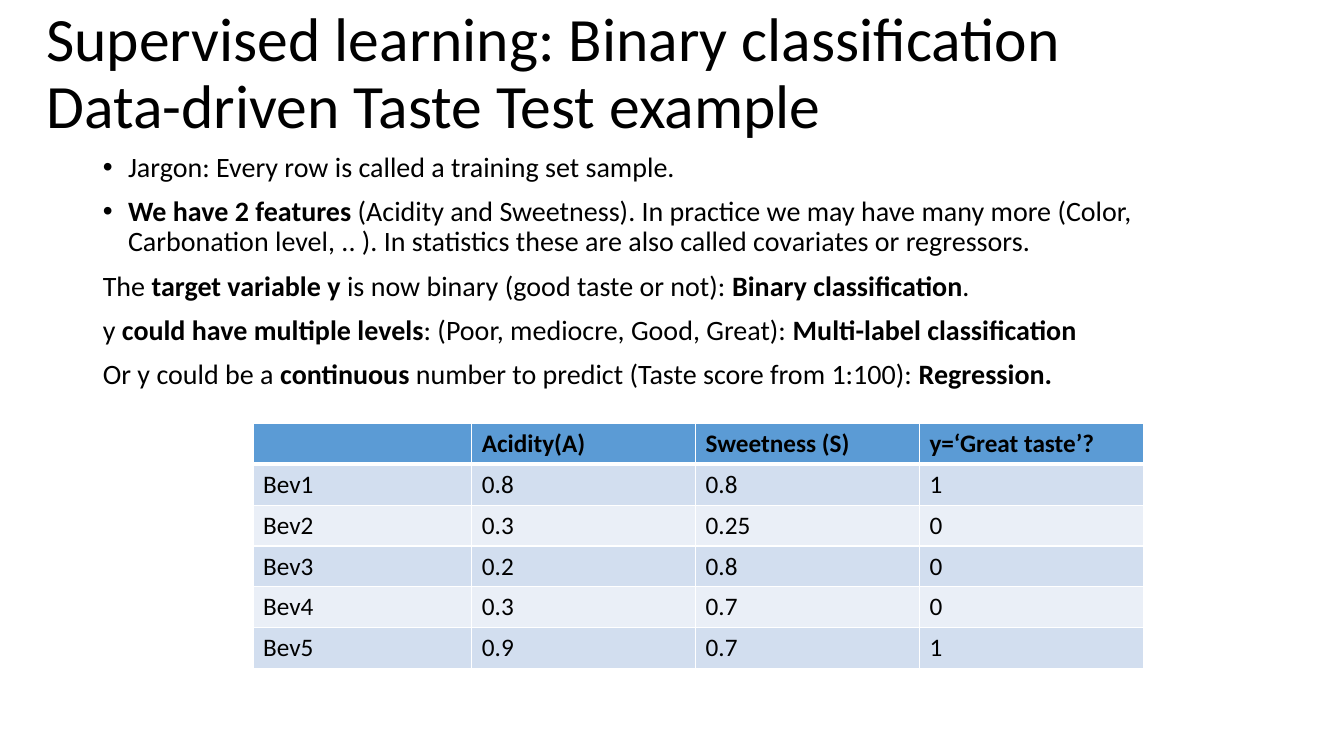
from lxml import etree
from pptx import Presentation
from pptx.dml.color import RGBColor
from pptx.enum.text import MSO_ANCHOR, MSO_AUTO_SIZE, PP_ALIGN
from pptx.oxml.ns import qn
from pptx.util import Pt

PX = 9144
FONT = "Calibri"
BLACK = RGBColor(0x00, 0x00, 0x00)
HEADER_BLUE = RGBColor(0x5B, 0x9B, 0xD5)
BAND_DARK = RGBColor(0xD2, 0xDE, 0xEF)
BAND_LIGHT = RGBColor(0xEA, 0xEF, 0xF7)
WHITE = RGBColor(0xFF, 0xFF, 0xFF)
LEFT = PP_ALIGN.LEFT
TOP = MSO_ANCHOR.TOP
MIDDLE = MSO_ANCHOR.MIDDLE
NO_AUTOFIT = MSO_AUTO_SIZE.NONE


def write(paragraph, text, size, bold=False, line_spacing=None, space_before=0):
    paragraph.alignment = LEFT
    paragraph.space_before = Pt(space_before)
    if line_spacing:
        paragraph.line_spacing = line_spacing
    for line_index, line in enumerate(text.split("\n")):
        if line_index:
            paragraph.add_line_break()
        for part_index, part in enumerate(line.split("**")):
            if part:
                run = paragraph.add_run()
                run.text = part
                run.font.name = FONT
                run.font.size = Pt(size)
                run.font.bold = bold or part_index % 2 == 1
                run.font.color.rgb = BLACK


def add_border(cell, side, width):
    properties = cell._tc.get_or_add_tcPr()
    line = etree.SubElement(properties, qn(f"a:ln{side}"), w=str(Pt(width)))
    fill = etree.SubElement(line, qn("a:solidFill"))
    etree.SubElement(fill, qn("a:srgbClr"), val=str(WHITE))


presentation = Presentation()
presentation.slide_width = 1333 * PX
presentation.slide_height = 750 * PX
slide = presentation.slides.add_slide(presentation.slide_layouts[1])

title, body = slide.placeholders
for shape, box, anchor in (
    (title, (36, 2, 1150, 145), MIDDLE),
    (body, (92, 147, 1150, 476), TOP),
):
    shape.left, shape.top, shape.width, shape.height = (length * PX for length in box)
    shape.text_frame.word_wrap = True
    shape.text_frame.auto_size = NO_AUTOFIT
    shape.text_frame.vertical_anchor = anchor

write(
    title.text_frame.paragraphs[0],
    "Supervised learning: Binary classification\nData-driven Taste Test example",
    size=44,
    line_spacing=0.9,
)

points = [
    (True, "Jargon: Every row is called a training set sample."),
    (True, "**We have 2 features** (Acidity and Sweetness). In practice we may have many more "
           "(Color, Carbonation level, .. ). In statistics these are also called covariates or regressors."),
    (False, "The **target variable y **is now binary (good taste or not): **Binary classification**."),
    (False, "y **could have multiple levels**: (Poor, mediocre, Good, Great): **Multi-label classification**"),
    (False, "Or y could be a **continuous** number to predict (Taste score from 1:100): **Regression.**"),
]
for index, (bulleted, text) in enumerate(points):
    paragraph = body.text_frame.add_paragraph() if index else body.text_frame.paragraphs[0]
    indent = 25 * PX if bulleted else 0
    properties = paragraph._p.get_or_add_pPr()
    properties.set("marL", str(indent))
    properties.set("indent", str(-indent))
    if bulleted:
        etree.SubElement(properties, qn("a:buChar"), char="•")
    else:
        etree.SubElement(properties, qn("a:buNone"))
    write(paragraph, text, size=20, line_spacing=0.9, space_before=10 if index else 0)

beverages = [
    ("", "Acidity(A)", "Sweetness (S)", "y=‘Great taste’?"),
    ("Bev1", "0.8", "0.8", "1"),
    ("Bev2", "0.3", "0.25", "0"),
    ("Bev3", "0.2", "0.8", "0"),
    ("Bev4", "0.3", "0.7", "0"),
    ("Bev5", "0.9", "0.7", "1"),
]
column_widths = [217, 222, 222, 222]
row_height = 40
table = slide.shapes.add_table(
    len(beverages), len(column_widths),
    251 * PX, 420 * PX, sum(column_widths) * PX, len(beverages) * row_height * PX,
).table
for column, width in zip(table.columns, column_widths):
    column.width = width * PX

for row_index, values in enumerate(beverages):
    is_header = row_index == 0
    band = BAND_DARK if row_index % 2 else BAND_LIGHT
    for column_index, value in enumerate(values):
        cell = table.cell(row_index, column_index)
        for side in "LR":
            add_border(cell, side, 1)
        if is_header:
            add_border(cell, "T", 1)
        add_border(cell, "B", 3 if is_header else 1)
        cell.fill.solid()
        cell.fill.fore_color.rgb = HEADER_BLUE if is_header else band
        write(cell.text_frame.paragraphs[0], value, size=18, bold=is_header)

presentation.save("out.pptx")
